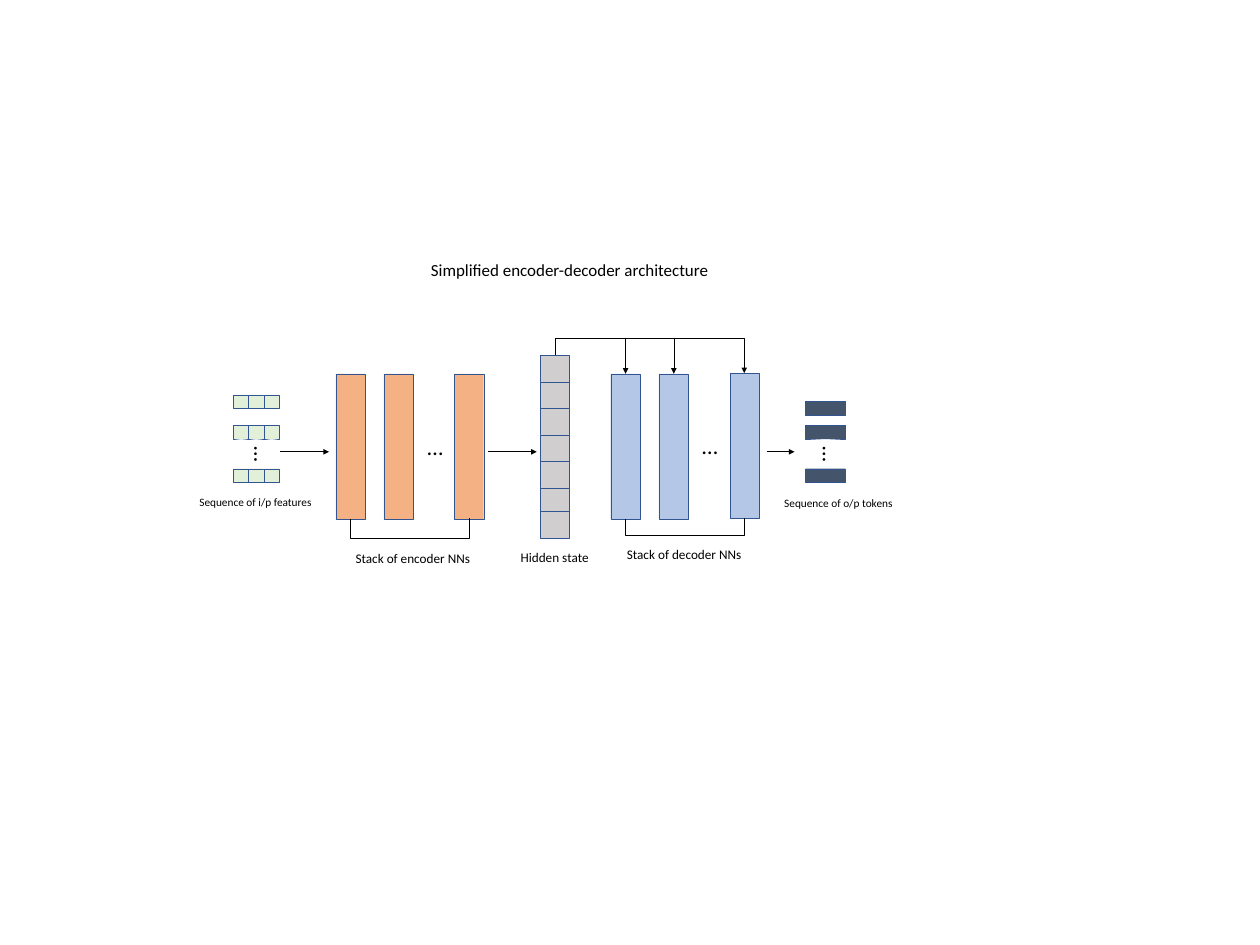
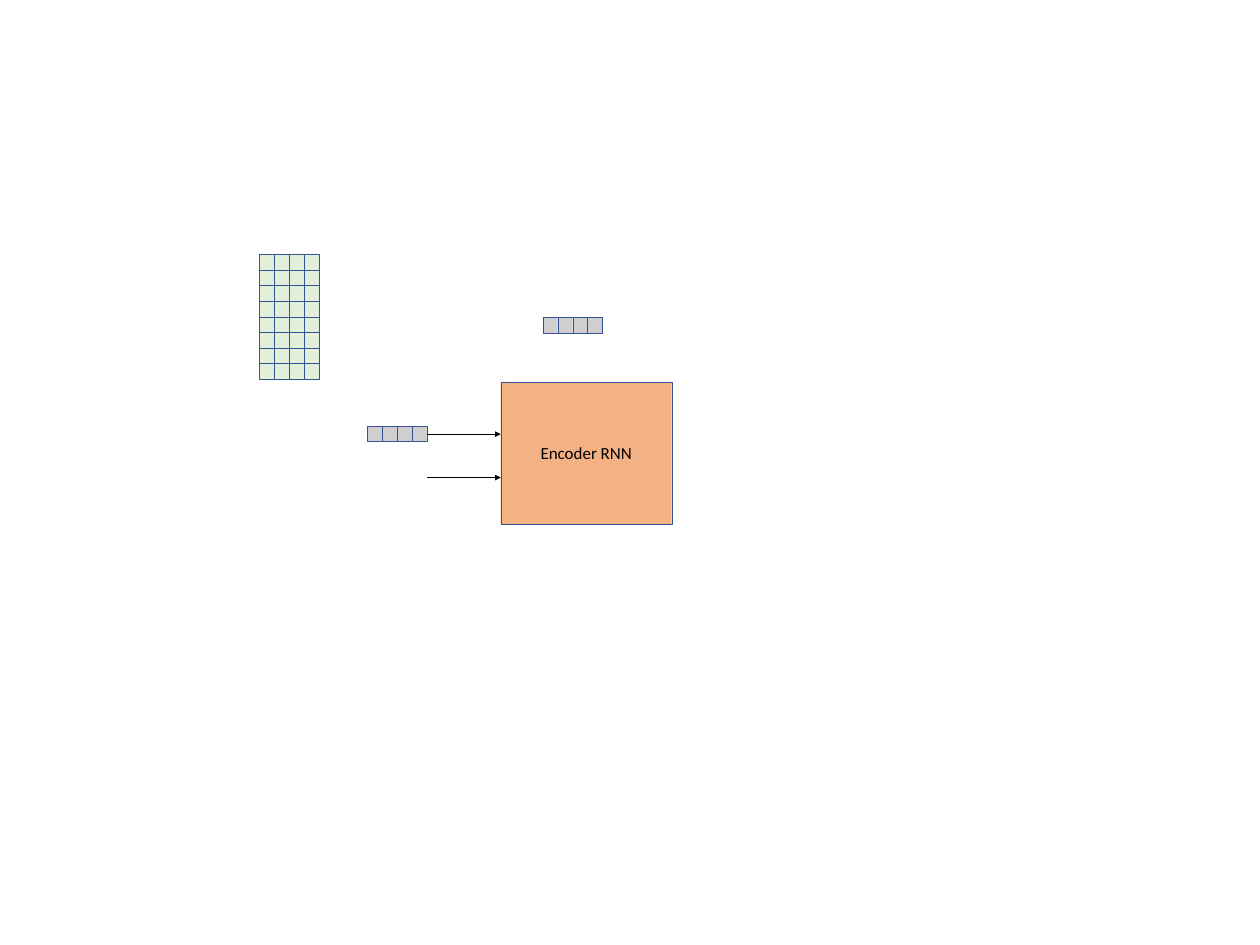
import dataclasses

import lxml.etree
import pptx
import pptx.dml.color
import pptx.enum.shapes
import pptx.enum.text
import pptx.oxml.ns
import pptx.util

Inches = pptx.util.Inches
Pt = pptx.util.Pt
qn = pptx.oxml.ns.qn
RGBColor = pptx.dml.color.RGBColor
ALIGN = pptx.enum.text.PP_ALIGN


@dataclasses.dataclass(frozen=True)
class Theme:
    font: str = "Calibri"
    ink: RGBColor = RGBColor.from_string("000000")
    outline: RGBColor = RGBColor.from_string("325491")
    encoder: RGBColor = RGBColor.from_string("F4B183")
    decoder: RGBColor = RGBColor.from_string("B4C7E7")
    feature: RGBColor = RGBColor.from_string("E2F0D9")
    hidden: RGBColor = RGBColor.from_string("D0CECE")
    token: RGBColor = RGBColor.from_string("44546A")
    title_size: int = 18
    label_size: int = 14
    caption_size: int = 12
    dots_size: int = 24
    outline_width: float = 0.25


theme = Theme()


def add_cells(page, lefts, tops, width, height, fill):
    """Draw a rectangle at every crossing of lefts and tops; return the last."""
    for top in tops:
        for left in lefts:
            box = page.shapes.add_shape(
                pptx.enum.shapes.MSO_SHAPE.RECTANGLE,
                Inches(left), Inches(top), Inches(width), Inches(height))
            box.shadow.inherit = False
            box.fill.solid()
            box.fill.fore_color.rgb = fill
            box.line.color.rgb = theme.outline
            box.line.width = Pt(theme.outline_width)
    return box


def add_line(page, start, end, weight, arrow=True, preset="line"):
    """Draw a connector and return it."""
    connector = page.shapes.add_connector(
        pptx.enum.shapes.MSO_CONNECTOR.STRAIGHT,
        *[Inches(value) for value in (*start, *end)])
    connector.line.color.rgb = theme.ink
    connector.line.width = Pt(weight)
    properties = connector.element.spPr
    properties.find(qn("a:prstGeom")).set("prst", preset)
    if arrow:
        tail = lxml.etree.SubElement(properties.find(qn("a:ln")), qn("a:tailEnd"))
        tail.set("type", "triangle")
    lxml.etree.SubElement(properties, qn("a:effectLst"))
    return connector


deck = pptx.Presentation()
deck.slide_width = Inches(18.57)
deck.slide_height = Inches(13.93)

# Slide 1: the whole architecture
page = deck.slides.add_slide(deck.slide_layouts[5])

# Input features, encoders, hidden state, decoders, output tokens
add_cells(page, (3.44, 3.66, 3.89), (5.82, 6.27, 6.91), 0.23, 0.2, theme.feature)
add_cells(page, (4.95, 5.66, 6.7), (5.51,), 0.43, 2.14, theme.encoder)
hidden_tops = [min(5.24 + 0.39 * row, 7.54) for row in range(7)]
add_cells(page, (7.96,), hidden_tops, 0.43, 0.39, theme.hidden)
add_cells(page, (9, 9.71), (5.51,), 0.43, 2.14, theme.decoder)
add_cells(page, (10.76,), (5.5,), 0.43, 2.14, theme.decoder)
add_cells(page, (11.87,), (5.92, 6.27, 6.91), 0.59, 0.2, theme.token)

# Arrows from stage to stage
for left, right in ((4.13, 4.85), (7.19, 7.91), (11.3, 11.71)):
    add_line(page, (left, 6.66), (right, 6.66), 1)

# Brackets under the stacks, and the hidden state feeding the second decoder
for x1, y1, x2, y2, bend, weight, arrow, turn, flips in (
    (5.16, 7.65, 6.91, 7.64, 7.94, 0.75, False, 90, ("flipH", "flipV")),
    (9.22, 7.65, 10.97, 7.64, 7.9, 0.75, False, 90, ("flipH", "flipV")),
    (8.18, 5.24, 9.93, 5.51, 4.99, 0.5, True, 270, ("flipH",)),
):
    # A quarter turn swaps the width and height of the connector's frame
    width, height = abs(y2 - y1), x2 - x1
    left, top = (x1 + x2 - width) / 2, (y1 + y2 - height) / 2
    connector = add_line(page, (left, top), (left + width, top + height),
                         weight, arrow, "bentConnector3")
    frame = connector.element.spPr.find(qn("a:xfrm"))
    frame.set("rot", str(turn * 60000))
    for flip in flips:
        frame.set(flip, "1")
    geometry = connector.element.spPr.find(qn("a:prstGeom"))
    guide = lxml.etree.SubElement(geometry.find(qn("a:avLst")), qn("a:gd"))
    guide.set("name", "adj1")
    guide.set("fmla", f"val {round(-abs(bend - y1) / width * 100000)}")

# Branches to the last and first decoder
add_line(page, (9.1, 4.99), (10.97, 5.5), 0.5, preset="bentConnector2")
add_line(page, (9.22, 4.99), (9.22, 5.51), 0.5)

# Title, labels and dots
for text, left, top, width, height, size, align, turn in (
    ("Simplified encoder-decoder architecture", 6.01, 3.77, 4.77, 0.4,
     theme.title_size, ALIGN.CENTER, 0),
    ("Stack of encoder NNs", 4.8, 8.06, 2.57, 0.34, theme.label_size, ALIGN.CENTER, 0),
    ("Hidden state", 6.89, 8.05, 2.57, 0.34, theme.label_size, ALIGN.CENTER, 0),
    ("Stack of decoder NNs", 9.14, 8.01, 2.57, 0.34, theme.label_size, ALIGN.LEFT, 0),
    ("Sequence of i/p features", 2.84, 7.25, 2.57, 0.3, theme.caption_size, ALIGN.LEFT, 0),
    ("Sequence of o/p tokens", 11.46, 7.26, 2.57, 0.3, theme.caption_size, ALIGN.LEFT, 0),
    ("…", 6.2, 6.33, 0.34, 0.5, theme.dots_size, ALIGN.LEFT, 0),
    ("…", 10.25, 6.32, 0.34, 0.5, theme.dots_size, ALIGN.LEFT, 0),
    ("…", 3.71, 6.41, 0.34, 0.5, theme.dots_size, ALIGN.LEFT, 90),
    ("…", 12.09, 6.4, 0.34, 0.5, theme.dots_size, ALIGN.LEFT, 90),
):
    place = [Inches(value) for value in (left, top, width, height)]
    if size == theme.title_size:
        box = page.shapes.title
        box.left, box.top, box.width, box.height = place
    else:
        box = page.shapes.add_textbox(*place)
    box.rotation = turn
    frame = box.text_frame
    frame.word_wrap = True
    frame.auto_size = pptx.enum.text.MSO_AUTO_SIZE.SHAPE_TO_FIT_TEXT
    frame.vertical_anchor = pptx.enum.text.MSO_ANCHOR.TOP
    para = frame.paragraphs[0]
    para.alignment = align
    span = para.add_run()
    span.text = text
    span.font.name = theme.font
    span.font.size = Pt(size)
    span.font.color.rgb = theme.ink

# Slide 2: one encoder step
page = deck.slides.add_slide(deck.slide_layouts[6])

# Encoder block
box = add_cells(page, (7.38,), (5.63,), 2.52, 2.1, theme.encoder)
box.text_frame.vertical_anchor = pptx.enum.text.MSO_ANCHOR.MIDDLE
para = box.text_frame.paragraphs[0]
para.alignment = ALIGN.CENTER
span = para.add_run()
span.text = "Encoder RNN"
span.font.name = theme.font
span.font.size = Pt(theme.title_size)
span.font.color.rgb = theme.ink

# Feature matrix, then the hidden vectors going in and coming out
for left, top, rows, fill in (
    (3.82, 3.75, 8, theme.feature),
    (5.41, 6.28, 1, theme.hidden),
    (8, 4.68, 1, theme.hidden),
):
    lefts = [left + 0.22 * column for column in range(4)]
    tops = [top + 0.23 * row for row in range(rows)]
    add_cells(page, lefts, tops, 0.22, 0.23, fill)

# Inputs to the encoder
for height in (6.4, 7.04):
    add_line(page, (6.3, height), (7.38, height), 0.5)

deck.save("out.pptx")
